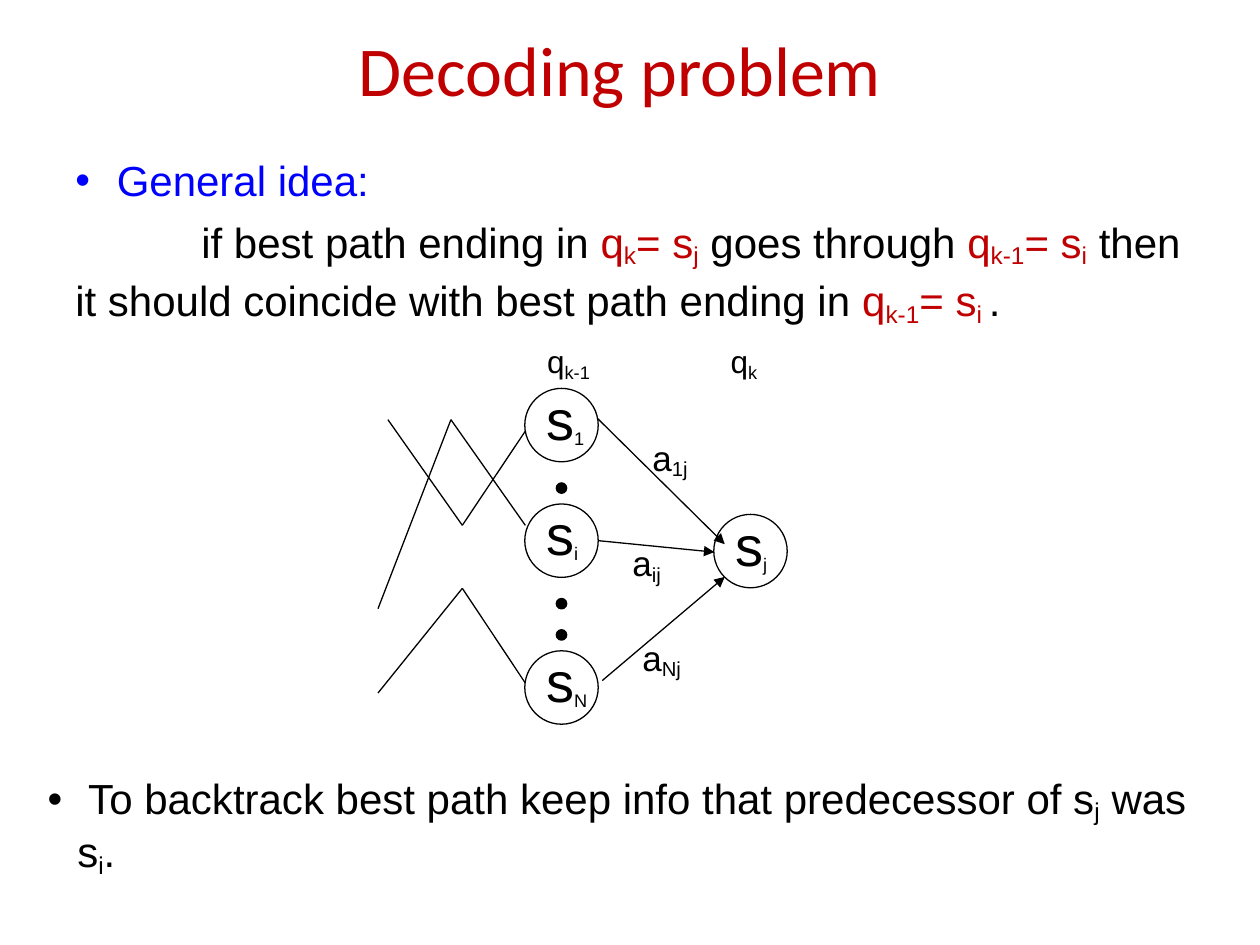
from itertools import pairwise

from lxml.etree import SubElement
from pptx import Presentation
from pptx.dml.color import RGBColor
from pptx.enum.shapes import MSO_CONNECTOR, MSO_SHAPE
from pptx.enum.text import MSO_ANCHOR, PP_ALIGN
from pptx.oxml.ns import qn
from pptx.util import Cm, Pt

BLACK = RGBColor(0x00, 0x00, 0x00)
BLUE = RGBColor(0x00, 0x00, 0xFF)
RED = RGBColor(0xC0, 0x00, 0x00)

STATE_SIZE = 1.48
DOT_SIZE = 0.21
LABEL_WIDTH = 1.7
COLUMN_X = 11.32  # centre of the states at step k-1


def add_box(slide, left, top, width, height, anchor=MSO_ANCHOR.TOP):
    """Add an empty text box and return its text frame."""
    box = slide.shapes.add_textbox(Cm(left), Cm(top), Cm(width), Cm(height))
    box.text_frame.word_wrap = True
    box.text_frame.vertical_anchor = anchor
    return box.text_frame


def write(paragraph, text, size=24, color=BLACK, font="Arial", sub_size=None):
    """Append text; every second part between ~ marks is a subscript."""
    for index, part in enumerate(text.split("~")):
        if not part:
            continue
        run = paragraph.add_run()
        run.text = part
        is_subscript = index % 2 == 1
        run.font.size = Pt(sub_size if is_subscript and sub_size else size)
        run.font.name = font
        run.font.color.rgb = color
        if is_subscript:
            run.font._element.set("baseline", "-16000")


def set_indent(paragraph, margin, first_line):
    properties = paragraph._p.get_or_add_pPr()
    properties.set("marL", str(Cm(margin)))
    properties.set("indent", str(Cm(first_line)))
    return properties


def add_bullet(paragraph, color):
    properties = set_indent(paragraph, 0.6, -0.6)
    bullet_color = SubElement(properties, qn("a:buClr"))
    SubElement(bullet_color, qn("a:srgbClr"), val=str(color))
    SubElement(properties, qn("a:buFont"), typeface="Arial")
    SubElement(properties, qn("a:buChar"), char="•")


def add_label(slide, text, left, top, height=1.17, **text_format):
    frame = add_box(slide, left, top, LABEL_WIDTH, height)
    write(frame.paragraphs[0], text, **text_format)


def add_circle(slide, center_x, center_y, diameter, filled=False):
    circle = slide.shapes.add_shape(
        MSO_SHAPE.OVAL, Cm(center_x - diameter / 2), Cm(center_y - diameter / 2),
        Cm(diameter), Cm(diameter))
    circle.shadow.inherit = False
    circle.line.color.rgb = BLACK
    circle.line.width = Pt(0.75)
    if filled:
        circle.fill.solid()
        circle.fill.fore_color.rgb = BLACK
    else:
        circle.fill.background()


def add_state(slide, name, center_x, center_y):
    add_circle(slide, center_x, center_y, STATE_SIZE)
    add_label(slide, f"s~{name}~", center_x - 0.56, center_y - 0.95,
              height=1.63, size=32, sub_size=18)


def add_line(slide, start, end, arrow=False):
    x1, y1, x2, y2 = (Cm(value) for value in (*start, *end))
    line = slide.shapes.add_connector(MSO_CONNECTOR.STRAIGHT, x1, y1, x2, y2)
    line.line.color.rgb = BLACK
    line.line.width = Pt(0.75)
    if arrow:
        SubElement(line.line._get_or_add_ln(), qn("a:tailEnd"), type="triangle")
    SubElement(line._element.spPr, qn("a:effectLst"))


def add_title(slide):
    frame = add_box(slide, 1.7, 0.64, 21.59, 1.47, anchor=MSO_ANCHOR.MIDDLE)
    paragraph = frame.paragraphs[0]
    paragraph.alignment = PP_ALIGN.CENTER
    write(paragraph, "Decoding problem", size=40, color=RED, font="Calibri")


def add_general_idea(slide):
    frame = add_box(slide, 1.27, 3, 23.11, 3.81)
    heading, idea = frame.paragraphs[0], frame.add_paragraph()
    heading.space_after = Pt(3)
    add_bullet(heading, BLUE)
    write(heading, " General idea:", color=BLUE)
    idea.line_spacing = 1.1
    set_indent(idea, 0, 2.54)
    for text, color in (
        ("if best path ending in ", BLACK),
        ("q~k~= s~j~ ", RED),
        ("goes through ", BLACK),
        ("q~k-1~= s~i~ ", RED),
        ("then it should coincide with best path ending in ", BLACK),
        ("q~k-1~= s~i ~", RED),
        (".", BLACK),
    ):
        write(idea, text, color=color)


def add_trellis(slide):
    # States and the dots between them
    for name, center_x, center_y in (
        ("1", COLUMN_X, 8.57),
        ("i", COLUMN_X, 10.9),
        ("N", COLUMN_X, 13.86),
        ("j", 15.13, 11.11),
    ):
        add_state(slide, name, center_x, center_y)
    for center_y in (9.84, 12.17, 12.8):
        add_circle(slide, COLUMN_X, center_y, DOT_SIZE, filled=True)

    # Transitions into state j
    for start, end in (
        ((12.04, 8.43), (14.61, 10.97)),
        ((12.07, 10.9), (14.4, 11.13)),
        ((12.14, 13.72), (14.61, 11.63)),
    ):
        add_line(slide, start, end, arrow=True)
    for name, left, top in (
        ("ij", 12.5, 10.8),
        ("Nj", 12.7, 12.7),
        ("1j", 12.9, 8.67),
    ):
        add_label(slide, f"a~{name}~", left, top, size=20)

    # Paths that lead to the states at step k-1
    for path_points in (
        ((10.59, 8.69), (9.32, 10.59), (7.82, 8.46)),
        ((10.59, 10.59), (9.09, 8.46), (7.62, 12.27)),
        ((10.59, 13.77), (9.32, 11.86), (7.62, 13.97)),
    ):
        for start, end in pairwise(path_points):
            add_line(slide, start, end)

    # Step names
    for name, left in (("k-1", 10.78), ("k", 14.48)):
        add_label(slide, f"q~{name}~", left, 6.78, size=18)


def add_backtrack_note(slide):
    paragraph = add_box(slide, 0.71, 15.44, 24.26, 1.35).paragraphs[0]
    add_bullet(paragraph, BLACK)
    write(paragraph, " To backtrack best path keep info that predecessor of "
                     "s~j~ was s~i~.")


def main():
    presentation = Presentation()
    presentation.slide_width = Cm(25.4)
    presentation.slide_height = Cm(19.05)
    slide = presentation.slides.add_slide(presentation.slide_layouts[6])
    add_title(slide)
    add_general_idea(slide)
    add_trellis(slide)
    add_backtrack_note(slide)
    presentation.save("out.pptx")


if __name__ == "__main__":
    main()
